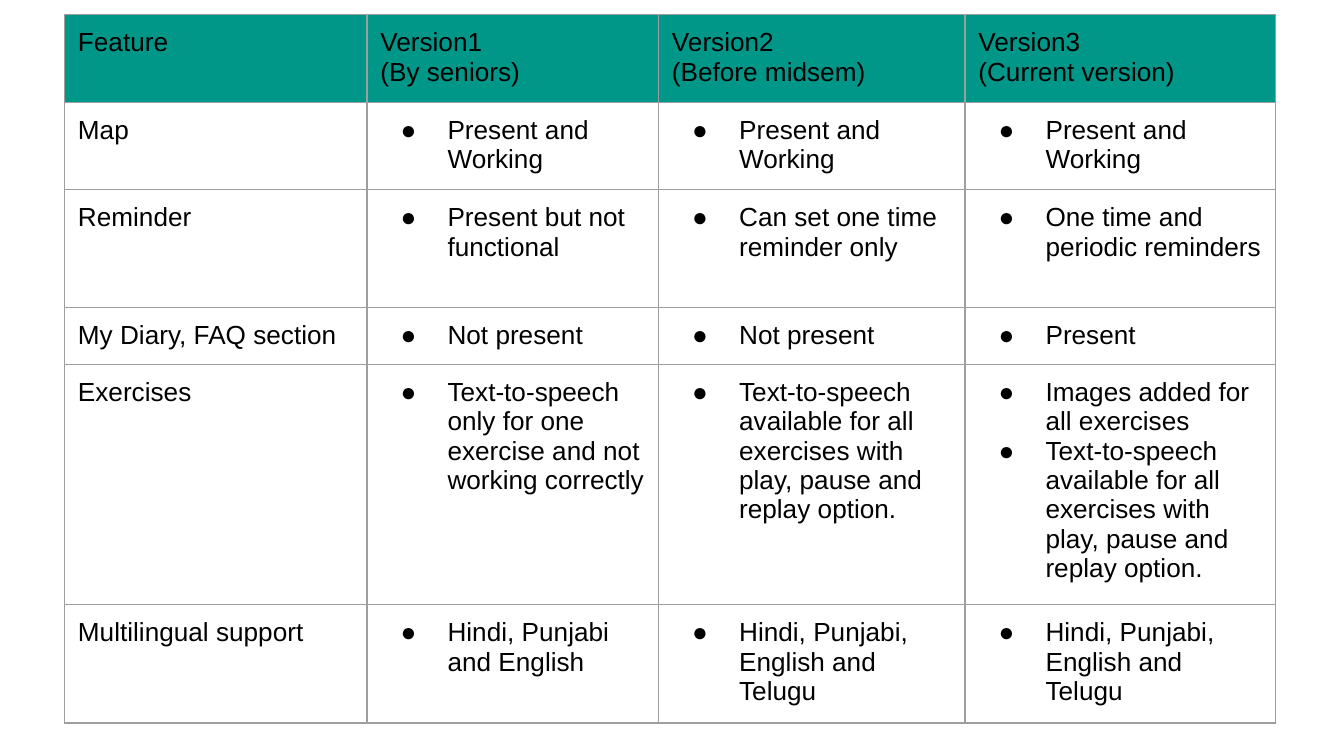
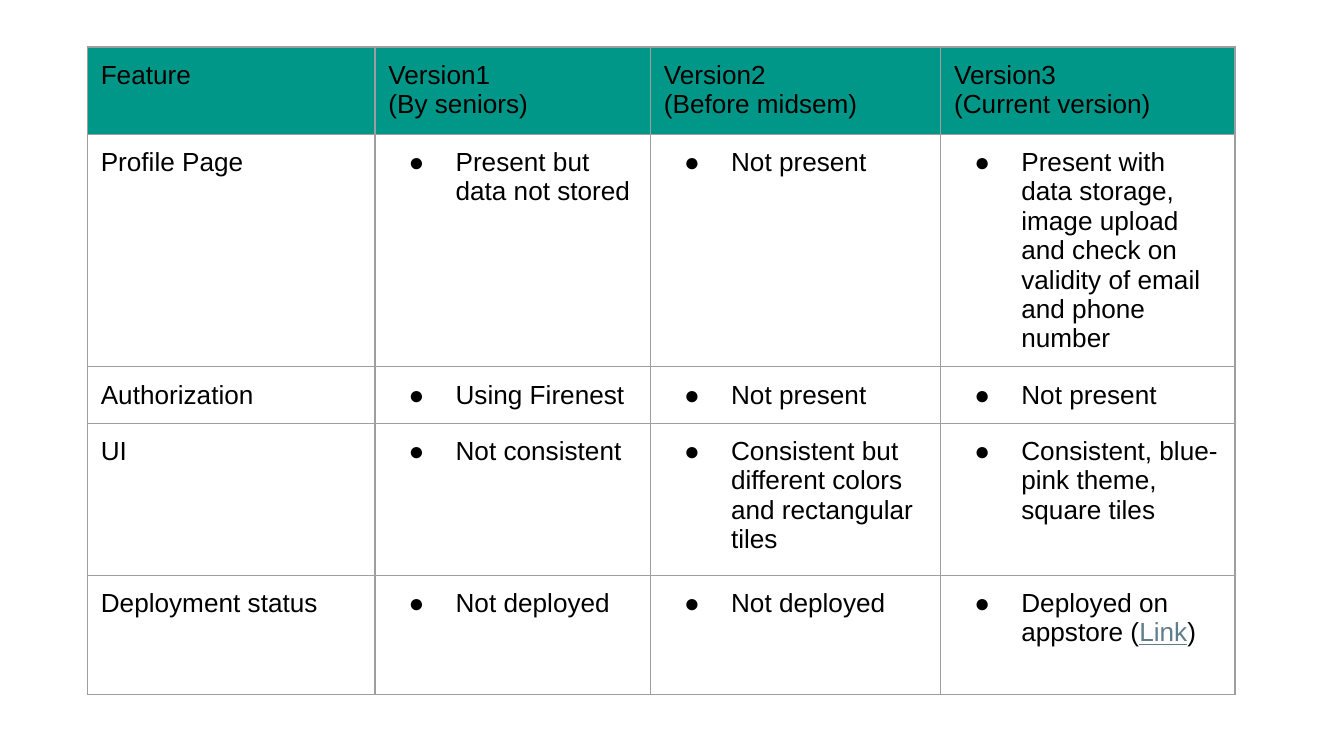
"""Build two slides that compare the features of three app versions."""
from lxml import etree
from pptx import Presentation
from pptx.dml.color import RGBColor
from pptx.oxml.ns import qn
from pptx.util import Inches, Pt

BLANK_LAYOUT = 6
HEADINGS = ["Feature", ["Version1", "(By seniors)"],
            ["Version2", "(Before midsem)"], ["Version3", "(Current version)"]]
WORKING = "Present and Working"
ABSENT = "Not present"
SPEECH = "Text-to-speech available for all exercises with play, pause and replay option."
LANGUAGES = "Hindi, Punjabi, English and Telugu"
LINK = ("Link", {"color": "607D8B", "underline": True})

CORE_FEATURES = [
    ["Map", WORKING, WORKING, WORKING],
    ["Reminder", "Present but not functional", "Can set one time reminder only",
     "One time and periodic reminders"],
    ["My Diary, FAQ section", ABSENT, ABSENT, "Present"],
    ["Exercises", "Text-to-speech only for one exercise and not working correctly",
     SPEECH, ["Images added for all exercises", SPEECH]],
    ["Multilingual support", "Hindi, Punjabi and English", LANGUAGES, LANGUAGES],
]
APP_FEATURES = [
    ["Profile Page", "Present but data not stored", ABSENT,
     "Present with data storage, image upload and check on validity of email and phone number"],
    ["Authorization", "Using Firenest", ABSENT, ABSENT],
    ["UI", "Not consistent", "Consistent but different colors and rectangular tiles",
     "Consistent, blue-pink theme, square tiles"],
    ["Deployment status", "Not deployed", "Not deployed",
     [[("Deployed on appstore (", {}), LINK, (")", {})]]],
]


def rgb(color):
    return RGBColor.from_string(color)


def add_span(para, text, color="000000", size=14, font="Arial", underline=False):
    span = para.add_run()
    span.text = text
    span.font.name = font
    span.font.size = Pt(size)
    span.font.bold = False
    span.font.underline = underline
    span.font.color.rgb = rgb(color)


class FeatureDeck:
    header_fill = "009788"
    border_color = "9E9E9E"
    border_width = 0.75
    bullet_color = "000000"
    inset = 0.1

    def __init__(self):
        self.deck = Presentation()
        self.deck.slide_width = Inches(10)
        self.deck.slide_height = Inches(10 * 9 / 16)
        self.page = None

    def add_page(self):
        self.page = self.deck.slides.add_slide(self.deck.slide_layouts[BLANK_LAYOUT])
        self.page.background.fill.solid()
        self.page.background.fill.fore_color.rgb = rgb("FFFFFF")

    def add_color(self, parent, color):
        etree.SubElement(parent, qn("a:srgbClr"), val=color)

    def add_bullet(self, para):
        properties = para._p.get_or_add_pPr()
        properties.set("marL", str(Inches(0.5)))
        properties.set("indent", str(Inches(-0.35)))
        self.add_color(etree.SubElement(properties, qn("a:buClr")), self.bullet_color)
        etree.SubElement(properties, qn("a:buFont"), typeface="Arial")
        etree.SubElement(properties, qn("a:buChar"), char="●")

    def add_borders(self, cell):
        properties = cell._tc.get_or_add_tcPr()
        for index, side in enumerate(("a:lnL", "a:lnR", "a:lnT", "a:lnB")):
            line = etree.Element(qn(side), w=str(Pt(self.border_width)))
            self.add_color(etree.SubElement(line, qn("a:solidFill")), self.border_color)
            properties.insert(index, line)

    def fill_cell(self, cell, content, header, bulleted):
        cell.margin_left = cell.margin_right = Inches(self.inset)
        cell.margin_top = cell.margin_bottom = Inches(self.inset)
        if header:
            cell.fill.solid()
            cell.fill.fore_color.rgb = rgb(self.header_fill)
        else:
            cell.fill.background()
        self.add_borders(cell)
        paragraphs = [content] if isinstance(content, str) else content
        for index, spans in enumerate(paragraphs):
            para = cell.text_frame.add_paragraph() if index else cell.text_frame.paragraphs[0]
            if bulleted:
                self.add_bullet(para)
            for text, style in [(spans, {})] if isinstance(spans, str) else spans:
                add_span(para, text, **style)

    def add_feature_table(self, left, top, widths, heights, features):
        rows = [HEADINGS] + features
        frame = self.page.shapes.add_table(
            len(rows), len(widths), Inches(left), Inches(top),
            Inches(sum(widths)), Inches(sum(heights)))
        table = frame.table
        table.first_row = table.horz_banding = False
        for column, width in zip(table.columns, widths):
            column.width = Inches(width)
        for row, height in zip(table.rows, heights):
            row.height = Inches(height)
        for row_index, contents in enumerate(rows):
            for column_index, content in enumerate(contents):
                self.fill_cell(table.cell(row_index, column_index), content,
                               header=row_index == 0,
                               bulleted=row_index > 0 and column_index > 0)


def main():
    builder = FeatureDeck()
    builder.add_page()
    builder.add_feature_table(0.48, 0.11, [2.25, 2.17, 2.28, 2.31],
                              [0.65, 0.65, 0.88, 0.42, 1.79, 0.88], CORE_FEATURES)
    builder.add_page()
    builder.add_feature_table(0.65, 0.35, [2.14, 2.05, 2.16, 2.19],
                              [0.65, 0.42, 0.42, 1.13, 0.89], APP_FEATURES)
    builder.deck.save("out.pptx")


if __name__ == "__main__":
    main()
